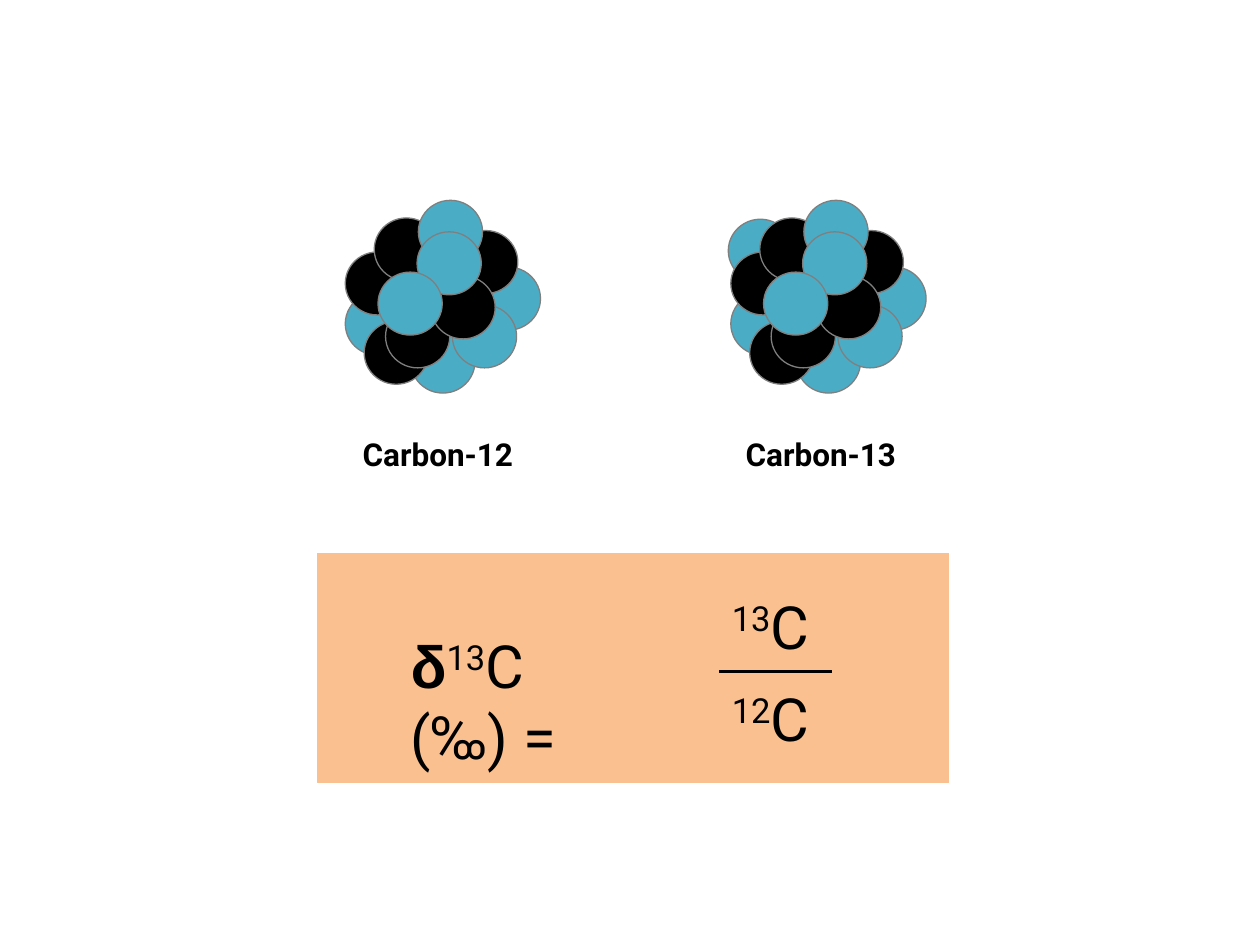
from pptx import Presentation
from pptx import util as u
from pptx.dml.color import RGBColor
from pptx.enum import shapes, text
from pptx.oxml.ns import qn
from lxml import etree

BLACK = RGBColor(0x00, 0x00, 0x00)
BLUE = RGBColor(0x4B, 0xAC, 0xC6)
GREY = RGBColor(0x7F, 0x7F, 0x7F)
PEACH = RGBColor(0xFA, 0xC0, 0x90)

NUCLEON_SIZE = (0.51, 0.5)
NUCLEONS = [
    (1.04, 0.53, BLUE), (0.52, 1.03, BLUE), (0, 0.73, BLUE),
    (0, 0.41, BLACK), (0.15, 0.96, BLACK), (0.23, 0.14, BLACK),
    (0.86, 0.24, BLACK), (0.32, 0.83, BLACK), (0.85, 0.83, BLUE),
    (0.68, 0.6, BLACK), (0.58, 0, BLUE), (0.57, 0.25, BLUE),
    (0.26, 0.57, BLUE),
]
EXTRA_NEUTRON = (-0.02, 0.15, BLUE)

LABEL = dict(name="Roboto", size=u.Pt(18), bold=True)
SYMBOL = dict(name="Roboto", size=u.Pt(34), bold=False)
DELTA = dict(name="Arial", size=u.Pt(34), bold=True)


def add_filled(parts, preset, box, fill, outline):
    shape = parts.add_shape(preset, *map(u.Inches, box))
    shape.shadow.inherit = False
    shape.fill.solid()
    shape.fill.fore_color.rgb = fill
    shape.line.color.rgb = outline
    shape.line.width = u.Pt(0.75)


def add_run(paragraph, words, style, raised=False):
    run = paragraph.add_run()
    run.text = words
    run.font.color.rgb = BLACK
    for attribute, value in style.items():
        setattr(run.font, attribute, value)
    if raised:
        run.font._element.set("baseline", "30000")


def add_text_frame(parts, box):
    frame = parts.add_textbox(*map(u.Inches, box)).text_frame
    settings = dict(word_wrap=True, auto_size=text.MSO_AUTO_SIZE.NONE,
                    vertical_anchor=text.MSO_ANCHOR.TOP)
    for attribute, value in settings.items():
        setattr(frame, attribute, value)
    return frame


def add_isotope(slide, left, top, name, label_left, nucleons):
    nucleus = slide.shapes.add_group_shape().shapes
    for x, y, colour in nucleons:
        add_filled(nucleus, shapes.MSO_SHAPE.OVAL,
                   (left + x, top + y, *NUCLEON_SIZE), colour, GREY)
    label = add_text_frame(slide.shapes, (label_left, top + 1.81, 1.41, 0.71))
    label.paragraphs[0].alignment = text.PP_ALIGN.CENTER
    add_run(label.paragraphs[0], name, LABEL)


def add_formula(slide, left, top, width, height):
    parts = slide.shapes.add_group_shape().shapes
    add_filled(parts, shapes.MSO_SHAPE.RECTANGLE,
               (left, top, width, height), PEACH, PEACH)

    ratio_name = add_text_frame(parts, (left + 0.64, top + 0.55, 1.85, 0.67))
    add_run(ratio_name.paragraphs[0], "δ", DELTA)
    add_run(ratio_name.paragraphs[0], "13", SYMBOL, raised=True)
    add_run(ratio_name.paragraphs[0], "C (‰) =", SYMBOL)

    bar_left, bar_top, bar_width = left + 3.19, top + 0.94, 0.89
    fraction = add_text_frame(parts, (bar_left, top + 0.24, bar_width, 1.41))
    numerator, denominator = fraction.paragraphs[0], fraction.add_paragraph()
    denominator.space_before = u.Pt(12)
    for paragraph, mass in ((numerator, "13"), (denominator, "12")):
        add_run(paragraph, mass, SYMBOL, raised=True)
        add_run(paragraph, "C", SYMBOL)

    bar = parts.add_connector(
        shapes.MSO_CONNECTOR.STRAIGHT, u.Inches(bar_left), u.Inches(bar_top),
        u.Inches(bar_left + bar_width), u.Inches(bar_top))
    bar.line.color.rgb = BLACK
    bar.line.width = u.Pt(2)
    etree.SubElement(bar._element.spPr, qn("a:effectLst"))


def main():
    deck = Presentation()
    deck.slide_width, deck.slide_height = u.Inches(10), u.Inches(7.5)
    slide = deck.slides.add_slide(deck.slide_layouts[6])
    add_isotope(slide, 2.74, 1.59, "Carbon-12", 2.77, NUCLEONS)
    add_isotope(slide, 5.8, 1.59, "Carbon-13", 5.81,
                [EXTRA_NEUTRON] + NUCLEONS)
    add_formula(slide, 2.52, 4.39, 5.01, 1.82)
    deck.save("out.pptx")


if __name__ == "__main__":
    main()
